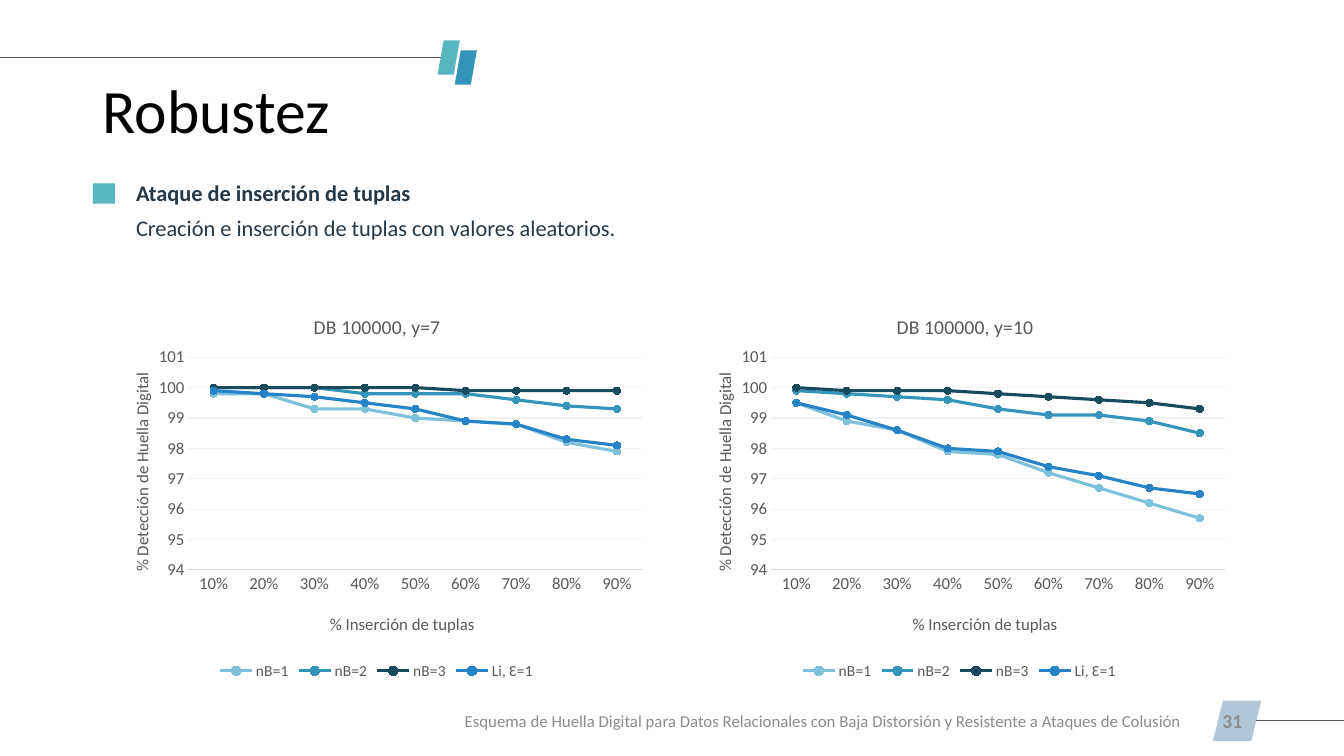
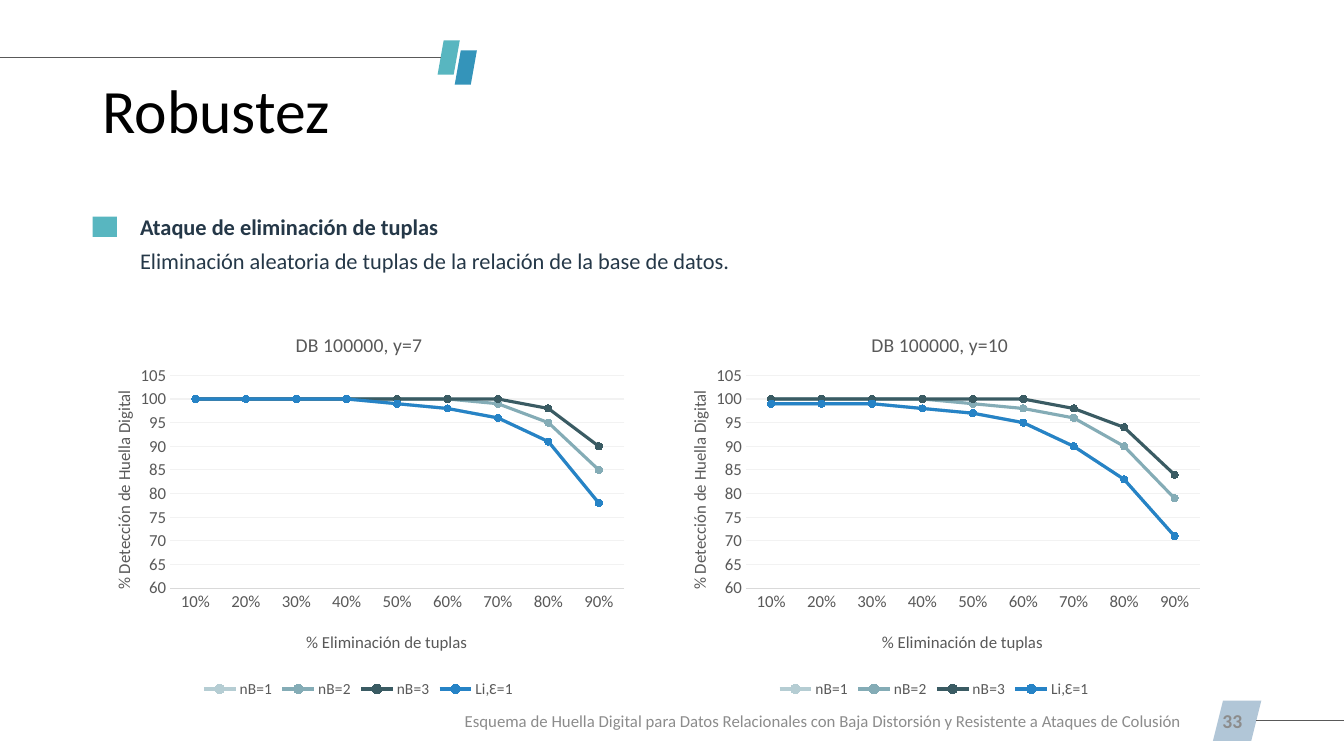
from dataclasses import dataclass

from lxml import etree
from pptx import Presentation
from pptx.chart.data import CategoryChartData
from pptx.dml.color import RGBColor
from pptx.enum import chart as ch, shapes, text
from pptx.oxml import ns
from pptx.util import Inches, Pt

FONT = "Calibri"
BLACK = RGBColor(0x00, 0x00, 0x00)
INK = RGBColor(0x25, 0x38, 0x48)
GREY = RGBColor(0x59, 0x59, 0x59)
MUTED = RGBColor(0x8C, 0x8C, 0x8C)
AXIS_LINE = RGBColor(0xD9, 0xD9, 0xD9)
GRID = RGBColor(0xF2, 0xF2, 0xF2)
TEAL = RGBColor(0x58, 0xB6, 0xC0)
BLUE = RGBColor(0x34, 0x94, 0xBA)
PALE_BLUE = RGBColor(0xB1, 0xC6, 0xD7)
LI_BLUE = RGBColor(0x26, 0x83, 0xC6)
BLUES = (RGBColor(0x7F, 0xC1, 0xDB), BLUE, RGBColor(0x1A, 0x4A, 0x5D), LI_BLUE)
GREYS = (RGBColor(0xB5, 0xCD, 0xD3), RGBColor(0x84, 0xAC, 0xB6),
         RGBColor(0x3A, 0x5B, 0x63), LI_BLUE)

FOOTER = ("Esquema de Huella Digital para Datos Relacionales con Baja Distorsión "
          "y Resistente a Ataques de Colusión")
FOOTER_TOP, FOOTER_H = 6.95, 0.4
CHART_W, CHART_H = 5.49, 3.91
CATEGORIES = [f"{n}%" for n in range(10, 100, 10)]


@dataclass
class Panel:
    title: str
    left: float
    values: tuple


@dataclass
class Attack:
    number: int
    heading: str
    detail: str
    top: float
    text_left: float
    bullet_w: float
    chart_top: float
    x_title: str
    x_title_at: float
    scale: tuple
    names: tuple
    colors: tuple
    panels: tuple


ATTACKS = (
    Attack(31, "Ataque de inserción de tuplas",
           "Creación e inserción de tuplas con valores aleatorios.",
           1.78, 1.35, 0.22, 2.88, "% Inserción de tuplas", 0.41, (94, 101, 1),
           ("nB=1", "nB=2", "nB=3", "Li, Ɛ=1"), BLUES, (
               Panel("DB 100000, y=7", 0.99, (
                   (99.8, 99.8, 99.3, 99.3, 99, 98.9, 98.8, 98.2, 97.9),
                   (100, 100, 100, 99.8, 99.8, 99.8, 99.6, 99.4, 99.3),
                   (100, 100, 100, 100, 100, 99.9, 99.9, 99.9, 99.9),
                   (99.9, 99.8, 99.7, 99.5, 99.3, 98.9, 98.8, 98.3, 98.1))),
               Panel("DB 100000, y=10", 6.77, (
                   (99.5, 98.9, 98.6, 97.9, 97.8, 97.2, 96.7, 96.2, 95.7),
                   (99.9, 99.8, 99.7, 99.6, 99.3, 99.1, 99.1, 98.9, 98.5),
                   (100, 99.9, 99.9, 99.9, 99.8, 99.7, 99.6, 99.5, 99.3),
                   (99.5, 99.1, 98.6, 98, 97.9, 97.4, 97.1, 96.7, 96.5))))),
    Attack(33, "Ataque de eliminación de tuplas",
           "Eliminación aleatoria de tuplas de la relación de la base de datos.",
           2.11, 1.39, 0.24, 3.06, "% Eliminación de tuplas", 0.4, (60, 105, 5),
           ("nB=1", "nB=2", "nB=3", "Li,Ɛ=1"), GREYS, (
               Panel("DB 100000, y=7", 0.81, (
                   (100, 100, 100, 100, 99, 98, 96, 91, 78),
                   (100, 100, 100, 100, 100, 100, 99, 95, 85),
                   (100, 100, 100, 100, 100, 100, 100, 98, 90),
                   (100, 100, 100, 100, 99, 98, 96, 91, 78))),
               Panel("DB 100000, y=10", 6.52, (
                   (99, 99, 99, 98, 97, 95, 90, 83, 71),
                   (100, 100, 100, 100, 99, 98, 96, 90, 79),
                   (100, 100, 100, 100, 100, 100, 98, 94, 84),
                   (99, 99, 99, 98, 97, 95, 90, 83, 71))))),
)


def set_font(font, size: float, color: RGBColor, bold: bool = False) -> None:
    for name, value in {"name": FONT, "size": Pt(size), "bold": bold}.items():
        setattr(font, name, value)
    font.color.rgb = color


def add_text(s, content: str, box: tuple, size: float, color: RGBColor,
             bold: bool = False, inset: bool = True, align=text.PP_ALIGN.LEFT,
             line_spacing: float = 1.0) -> None:
    """Inset text sits in the middle of its box; text without insets at the top."""
    tf = s.shapes.add_textbox(*map(Inches, box)).text_frame
    tf.word_wrap = True
    tf.vertical_anchor = text.MSO_ANCHOR.MIDDLE if inset else text.MSO_ANCHOR.TOP
    if not inset:
        for side in ("left", "top", "right", "bottom"):
            setattr(tf, f"margin_{side}", 0)
    p = tf.paragraphs[0]
    p.alignment, p.line_spacing = align, line_spacing
    r = p.add_run()
    r.text = content
    set_font(r.font, size, color, bold)


def add_block(s, kind, box: tuple, color: RGBColor, slant: float | None = None) -> None:
    sp = s.shapes.add_shape(kind, *map(Inches, box))
    sp.shadow.inherit = False
    sp.fill.solid()
    sp.fill.fore_color.rgb = color
    sp.line.fill.background()
    if slant is not None:
        sp.adjustments[0] = slant


def add_rule(s, x1: float, x2: float, y: float) -> None:
    line = s.shapes.add_connector(shapes.MSO_CONNECTOR.STRAIGHT,
                                  *map(Inches, (x1, y, x2, y)))
    line.line.color.rgb = GREY
    line.line.width = Pt(1)
    etree.SubElement(line._element.spPr, ns.qn("a:effectLst"))


def add_frame(s, number: int) -> None:
    """Draws the title, its ornament and the footer."""
    slanted = shapes.MSO_SHAPE.PARALLELOGRAM
    add_block(s, slanted, (12.03, FOOTER_TOP, 0.48, FOOTER_H), PALE_BLUE, 0.25)
    add_text(s, "Robustez", (0.92, 0.4, 11.5, 1.45), 44, BLACK, line_spacing=0.9)
    add_text(s, str(number), (9.42, FOOTER_TOP, 3, FOOTER_H), 14, MUTED, bold=True,
             align=text.PP_ALIGN.RIGHT)
    add_text(s, FOOTER, (4.51, FOOTER_TOP, 7.51, FOOTER_H), 12, MUTED)
    for left, top, color in ((4.34, 0.4, TEAL), (4.51, 0.5, BLUE)):
        add_block(s, slanted, (left, top, 0.22, 0.34), color, 0.275)
    add_rule(s, 0, 4.37, 0.57)
    add_rule(s, 12.46, 13.33, 7.15)


def set_layout(parent, **fractions) -> None:
    """Places a chart part by fractions of the chart's size."""
    for old in parent.findall(ns.qn("c:layout")):
        parent.remove(old)
    layout = etree.Element(ns.qn("c:layout"))
    manual = etree.SubElement(layout, ns.qn("c:manualLayout"))
    values = {"xMode": "edge", "yMode": "edge", **fractions}
    if "w" in fractions:
        values = {"layoutTarget": "inner", **values}
    for tag, value in values.items():
        etree.SubElement(manual, ns.qn(f"c:{tag}")).set("val", str(value))
    tx = parent.find(ns.qn("c:tx"))
    parent.insert(0 if tx is None else parent.index(tx) + 1, layout)


def set_title(owner, content: str, size: float, x: float, y: float) -> None:
    """Titles a chart or an axis."""
    owner.has_title = True
    title = owner.chart_title if hasattr(owner, "chart_title") else owner.axis_title
    r = title.text_frame.paragraphs[0].add_run()
    r.text = content
    set_font(r.font, size, GREY)
    set_layout(title._element, x=x, y=y)


def add_line_chart(s, attack: Attack, panel: Panel) -> None:
    data = CategoryChartData()
    data.categories = CATEGORIES
    for name, values in zip(attack.names, panel.values):
        data.add_series(name, values)
    box = (panel.left, attack.chart_top, CHART_W, CHART_H)
    chart = s.shapes.add_chart(ch.XL_CHART_TYPE.LINE_MARKERS,
                               *map(Inches, box), data).chart
    set_font(chart.font, 10, BLACK)
    chart.plots[0].vary_by_categories = False
    set_title(chart, panel.title, 14, 0.38, 0.05)
    set_layout(chart._chartSpace.chart.plotArea, x=0.16, y=0.17, w=0.82, h=0.54)

    chart.has_legend = True
    chart.legend.position = ch.XL_LEGEND_POSITION.BOTTOM
    chart.legend.include_in_layout = False
    set_font(chart.legend.font, 11, GREY)

    x_axis, y_axis = chart.category_axis, chart.value_axis
    for axis in (x_axis, y_axis):
        axis.major_tick_mark = axis.minor_tick_mark = ch.XL_TICK_MARK.NONE
        set_font(axis.tick_labels.font, 12, GREY)
    set_title(x_axis, attack.x_title, 12, attack.x_title_at, 0.81)
    set_title(y_axis, "% Detección de Huella Digital", 12, 0.05, 0.2)
    y_axis.minimum_scale, y_axis.maximum_scale, y_axis.major_unit = attack.scale
    y_axis.tick_labels.number_format = "0"
    y_axis.tick_labels.number_format_is_linked = False
    y_axis.format.line.fill.background()
    for line, color in ((x_axis.format.line, AXIS_LINE),
                        (y_axis.major_gridlines.format.line, GRID)):
        line.color.rgb = color
        line.width = Pt(0.75)

    for series, color in zip(chart.plots[0].series, attack.colors):
        series.smooth = False
        series.format.line.color.rgb = color
        series.format.line.width = Pt(2.25)
        marker = series.marker
        marker.style, marker.size = ch.XL_MARKER_STYLE.CIRCLE, 5
        marker.format.fill.solid()
        marker.format.fill.fore_color.rgb = color
        marker.format.line.color.rgb = color


def add_attack_slide(prs, attack: Attack) -> None:
    s = prs.slides.add_slide(prs.slide_layouts[6])
    add_frame(s, attack.number)
    add_block(s, shapes.MSO_SHAPE.RECTANGLE,
              (0.92, attack.top + 0.04, attack.bullet_w, 0.2), TEAL)
    for content, offset, bold in ((attack.heading, 0, True),
                                  (attack.detail, 0.34, False)):
        add_text(s, content, (attack.text_left, attack.top + offset, 6.27, 0.27),
                 16, INK, bold, inset=False)
    for panel in attack.panels:
        add_line_chart(s, attack, panel)


def main() -> None:
    prs = Presentation()
    prs.slide_width, prs.slide_height = Inches(13.33), Inches(7.5)
    for attack in ATTACKS:
        add_attack_slide(prs, attack)
    prs.save("out.pptx")


if __name__ == "__main__":
    main()
